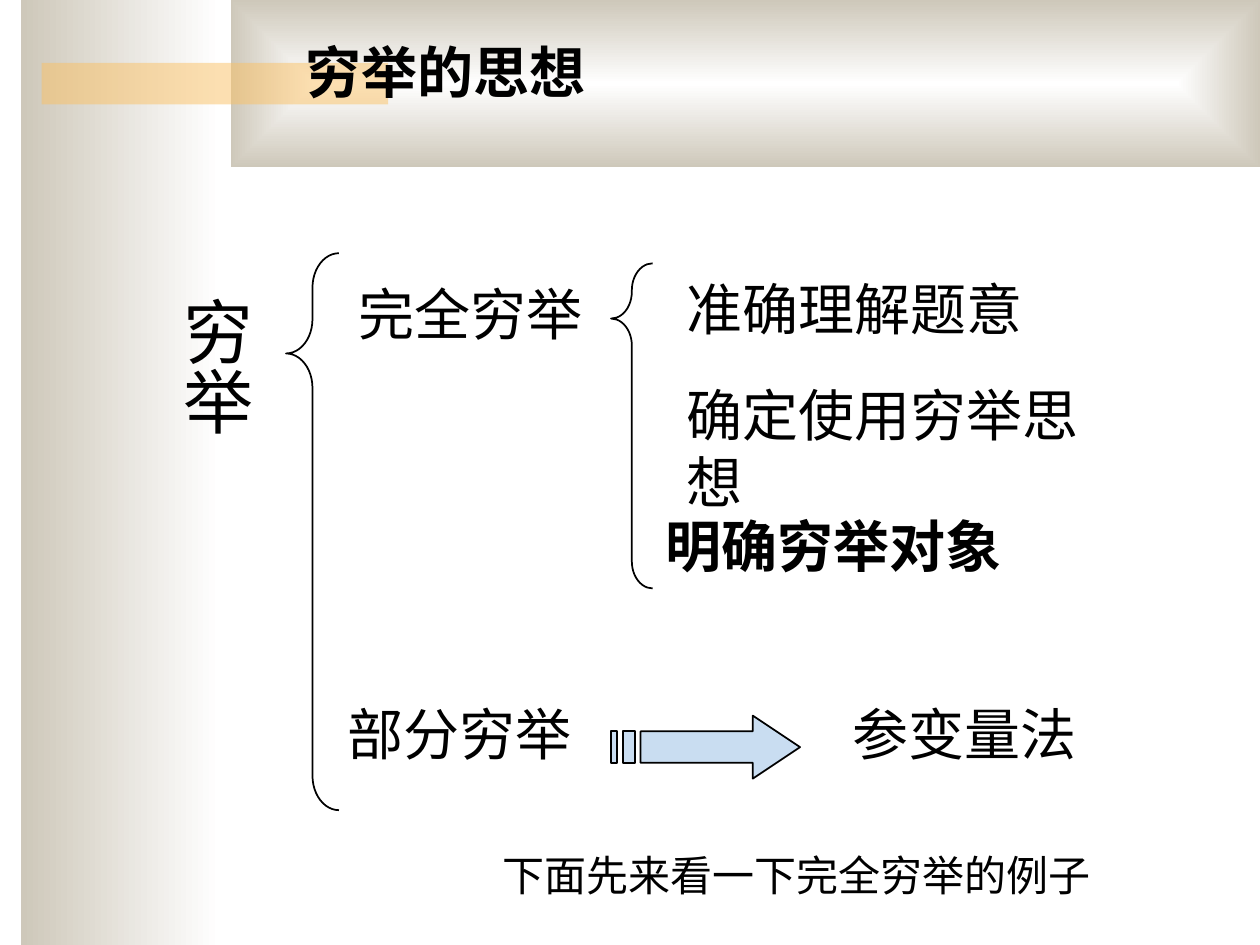
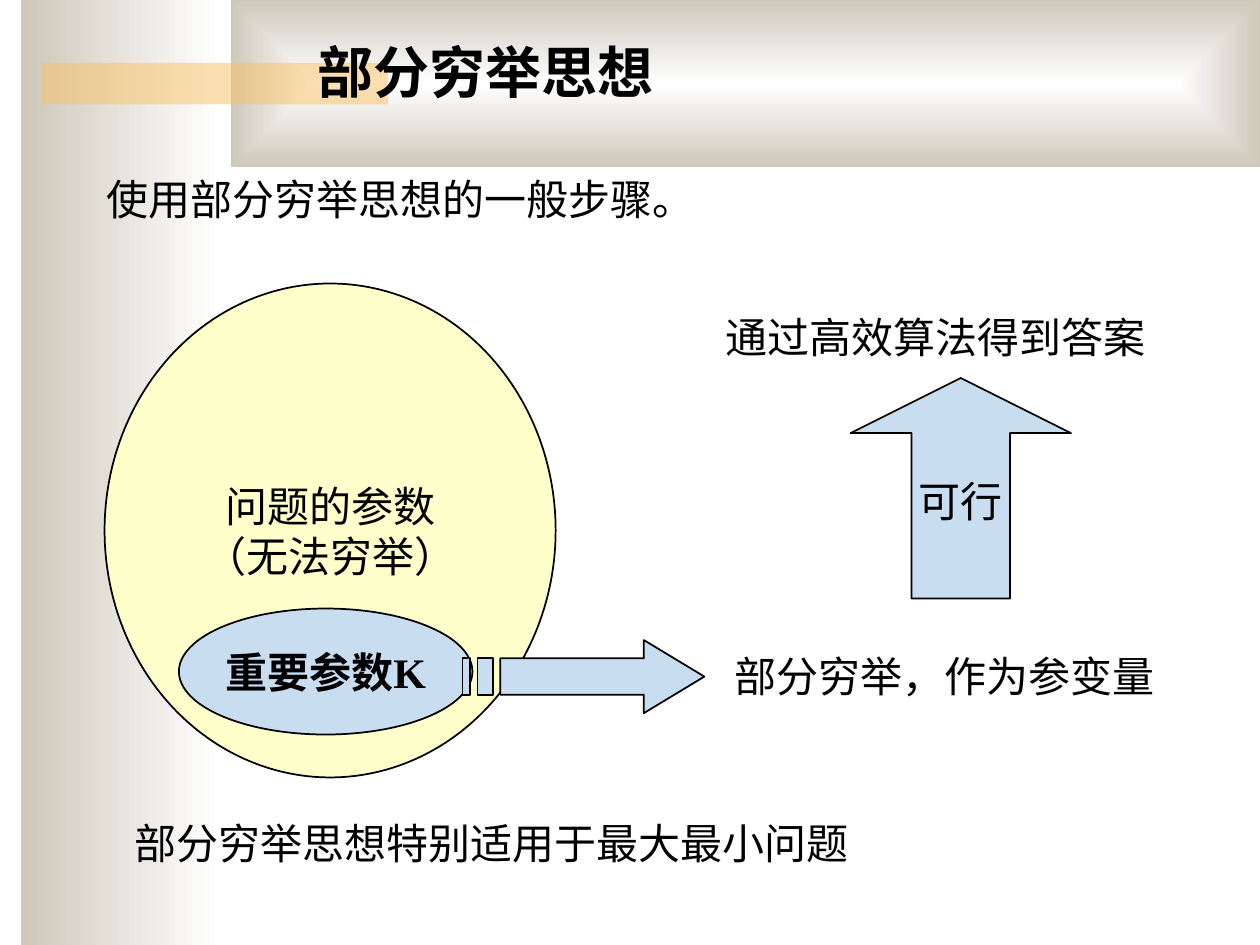
from lxml import etree
from pptx import Presentation
from pptx import util as u
from pptx.dml import color
from pptx.enum import shapes, text
from pptx.oxml import ns

LATIN_FONT = "Times New Roman"
CHINESE_FONT = "Noto Sans CJK SC"
BLACK, WHITE, STONE, ORANGE = "000000", "FFFFFF", "CEC8BA", "FAC164"
BLUE, YELLOW = "C9DDF1", "FFFFCC"
BODY_SIZE, HEADING_SIZE, ROOT_SIZE = 24, 32, 40
KINDS = shapes.MSO_SHAPE


def rgb(value):
    """Turn a hex string into a colour."""
    return color.RGBColor.from_string(value)


def style_runs(text_frame, size, bold):
    """Format every run of a text frame."""
    for paragraph in text_frame.paragraphs:
        for run in paragraph.runs:
            run.font.size = u.Pt(size)
            run.font.bold = bold
            run.font.color.rgb = rgb(BLACK)
            run.font.name = LATIN_FONT
            east_asian = etree.SubElement(run.font._element, ns.qn("a:ea"))
            east_asian.set("typeface", CHINESE_FONT)


def add_label(slide, left, top, words, size=BODY_SIZE, bold=False, vertical=False):
    """Add one line of text in a box sized from its character count."""
    along = len(words) * size / 72 + 0.2
    across = size / 72 * 1.2 + 0.1
    if vertical:
        along, across = across + 0.1, along - 0.1
    box = slide.shapes.add_textbox(*map(u.Inches, (left, top, along, across)))
    text_frame = box.text_frame
    text_frame.text = words
    text_frame.word_wrap = False
    text_frame.auto_size = text.MSO_AUTO_SIZE.SHAPE_TO_FIT_TEXT
    if vertical:
        body = text_frame._txBody.bodyPr
        body.set("vert", "eaVert")
        text_frame.margin_left = text_frame.margin_right = u.Inches(0.05)
        text_frame.margin_top = text_frame.margin_bottom = u.Inches(0.1)
    style_runs(text_frame, size, bold)


def paint(shape, fill=None, line=BLACK):
    """Set fill and outline, and drop the shadow."""
    shape.shadow.inherit = False
    if fill:
        shape.fill.solid()
        shape.fill.fore_color.rgb = rgb(fill)
    else:
        shape.fill.background()
    if line:
        shape.line.color.rgb = rgb(line)
        shape.line.width = u.Pt(1)
    else:
        shape.line.fill.background()


def add_figure(slide, kind, box, fill=None, line=BLACK, words="", bold=False, adjustments=()):
    """Add a preset shape with optional centred text."""
    shape = slide.shapes.add_shape(kind, *map(u.Inches, box))
    paint(shape, fill, line)
    for index, value in enumerate(adjustments):
        shape.adjustments[index] = value
    if words:
        text_frame = shape.text_frame
        text_frame.text = words
        text_frame.word_wrap = False
        text_frame.vertical_anchor = text.MSO_ANCHOR.MIDDLE
        for paragraph in text_frame.paragraphs:
            paragraph.alignment = text.PP_ALIGN.CENTER
        style_runs(text_frame, BODY_SIZE, bold)
    return shape


def add_striped_arrow(slide, left, top, width, height):
    """Draw an arrow with two tail stripes, on a grid of 32 by 4."""
    def bar(start, end):
        return [(start, 1), (end, 1), (end, 3), (start, 3)]

    body = [(5, 1), (24, 1), (24, 0), (32, 2), (24, 4), (24, 3), (5, 3)]

    def place(point):
        return (u.Inches(left + point[0] * width / 32),
                u.Inches(top + point[1] * height / 4))

    builder = slide.shapes.build_freeform(*place(body[0]))
    builder.add_line_segments([place(point) for point in body[1:]], close=True)
    for stripe in (bar(0, 1), bar(2, 4)):
        builder.move_to(*place(stripe[0]))
        builder.add_line_segments([place(point) for point in stripe[1:]], close=True)
    paint(builder.convert_to_shape(), BLUE)


def add_gradient_band(slide, box, rectangular=False):
    """Add a white to stone band, linear or spreading from its centre."""
    band = add_figure(slide, KINDS.RECTANGLE, box, line=None)
    band.fill.gradient()
    band.fill.gradient_angle = 180
    for stop, position, value in zip(band.fill.gradient_stops, (0, 1), (WHITE, STONE)):
        stop.position = position
        stop.color.rgb = rgb(value)
    if rectangular:
        gradient = band._element.spPr.find(ns.qn("a:gradFill"))
        gradient.remove(gradient.find(ns.qn("a:lin")))
        spread = etree.SubElement(gradient, ns.qn("a:path"), {"path": "rect"})
        etree.SubElement(spread, ns.qn("a:fillToRect"), dict.fromkeys("ltrb", "50000"))


def add_base_slide(presentation, title, title_left):
    """Add a slide with the shared bands and its title."""
    slide = presentation.slides.add_slide(presentation.slide_layouts[6])
    add_gradient_band(slide, (0.17, 0, 1.58, 7.5))
    add_gradient_band(slide, (1.83, 0, 8.17, 1.33), rectangular=True)
    accent = add_figure(slide, KINDS.RECTANGLE, (0.33, 0.5, 2.75, 0.33), ORANGE, None)
    accent_color = accent._element.spPr.find(ns.qn("a:solidFill"))[0]
    etree.SubElement(accent_color, ns.qn("a:alpha"), {"val": "50000"})
    add_label(slide, title_left, 0.25, title, HEADING_SIZE, bold=True)
    return slide


def add_enumeration_tree(slide, left, top):
    """Draw the braces that split enumeration into its kinds."""
    add_label(slide, left, top + 0.25, "穷举", ROOT_SIZE, vertical=True)
    add_figure(slide, KINDS.LEFT_BRACE, (left + 1.04, top, 0.42, 4.42), adjustments=(0.65, 0.18))
    add_figure(slide, KINDS.LEFT_BRACE, (left + 3.62, top + 0.08, 0.33, 2.58),
               adjustments=(0.65, 0.17))
    add_striped_arrow(slide, left + 3.62, top + 3.67, 1.5, 0.5)
    branches = [
        (1.52, 0.16, "完全穷举", False),
        (1.43, 3.49, "部分穷举", False),
        (5.44, 3.49, "参变量法", False),
        (4.12, 0.12, "准确理解题意", False),
        (4.12, 0.96, "确定使用穷举思想", False),
        (3.95, 2, "明确穷举对象", True),
    ]
    for across, down, words, bold in branches:
        add_label(slide, left + across, top + down, words, HEADING_SIZE, bold)


def add_parameter_set(slide, left, top):
    """Draw the parameter set, its key parameter and the arrow out."""
    add_figure(slide, KINDS.OVAL, (left, top, 3.58, 3.92), YELLOW,
               words="问题的参数\n（无法穷举）")
    add_figure(slide, KINDS.OVAL, (left + 0.59, top + 2.58, 2.33, 1), BLUE,
               words="重要参数K", bold=True)
    add_striped_arrow(slide, left + 2.84, top + 2.83, 1.92, 0.58)


def add_solution_steps(slide, left, top):
    """Draw the way from the variable parameter up to the answer."""
    add_label(slide, left, top, "通过高效算法得到答案")
    add_figure(slide, KINDS.UP_ARROW, (left + 1.09, top + 0.58, 1.75, 1.75), BLUE,
               words="可行", adjustments=(0.446, 0.25))
    add_label(slide, left + 0.07, top + 2.69, "部分穷举，作为参变量")


def build_idea_slide(presentation):
    """Build the slide on the idea of enumeration."""
    slide = add_base_slide(presentation, "穷举的思想", 2.33)
    add_enumeration_tree(slide, 1.23, 2.01)
    add_label(slide, 3.89, 6.69, "下面先来看一下完全穷举的例子")


def build_partial_slide(presentation):
    """Build the slide on partial enumeration."""
    slide = add_base_slide(presentation, "部分穷举思想", 2.42)
    add_label(slide, 0.75, 1.33, "使用部分穷举思想的一般步骤。")
    add_parameter_set(slide, 0.83, 2.25)
    add_solution_steps(slide, 5.66, 2.42)
    add_label(slide, 0.97, 6.44, "部分穷举思想特别适用于最大最小问题")


def main():
    """Build and save the presentation."""
    presentation = Presentation()
    presentation.slide_width = u.Inches(10)
    presentation.slide_height = u.Inches(7.5)
    build_idea_slide(presentation)
    build_partial_slide(presentation)
    presentation.save("out.pptx")


if __name__ == "__main__":
    main()
